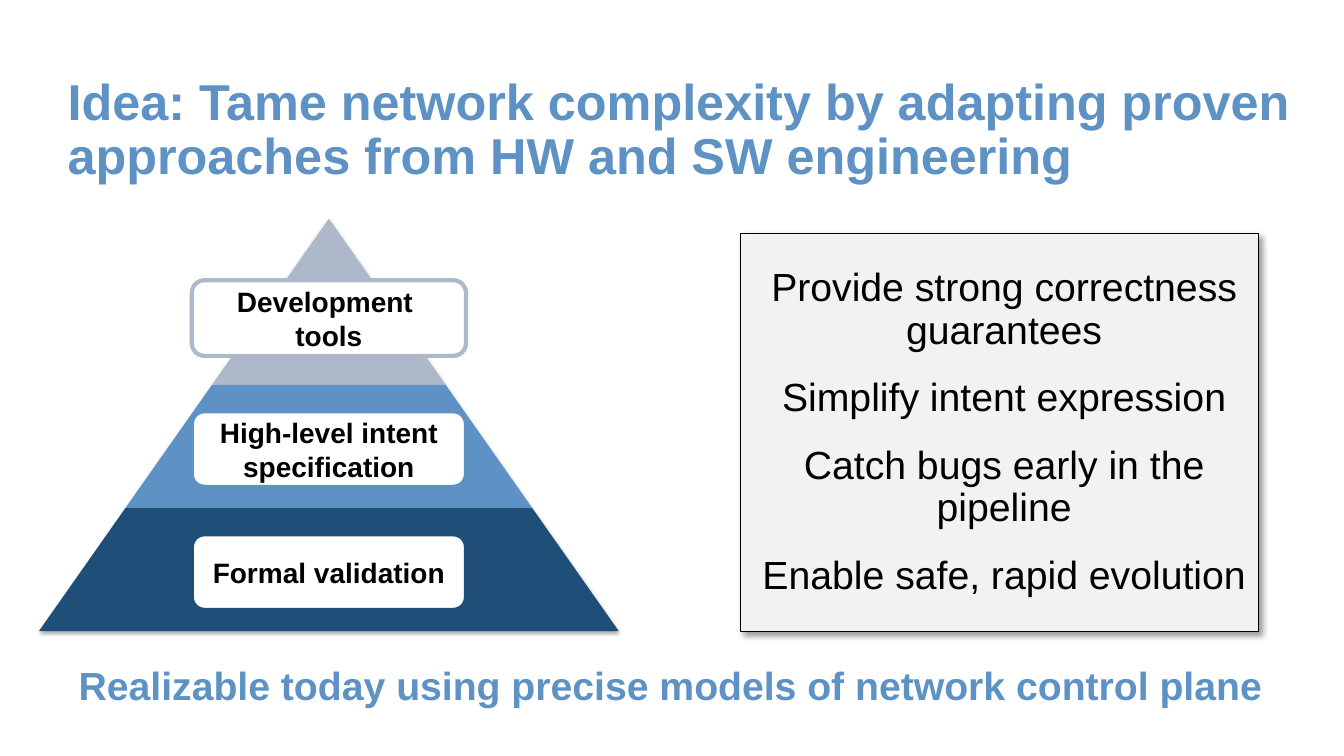
from dataclasses import dataclass
from typing import Any

from lxml.etree import SubElement
from pptx import Presentation
from pptx.dml.color import RGBColor
from pptx.enum.shapes import MSO_SHAPE
from pptx.enum.text import MSO_ANCHOR, MSO_AUTO_SIZE, PP_ALIGN
from pptx.oxml.ns import qn
from pptx.util import Inches, Pt

SLIDE_WIDTH, SLIDE_HEIGHT = Inches(13.333), Inches(7.5)
BLUE, BLACK, WHITE = "5E92C5", "000000", "FFFFFF"
PYRAMID_CENTER, PYRAMID_APEX = 24.47, 28.93
PYRAMID_SLOPE = 0.703
LABEL_WIDTH, LABEL_HEIGHT = 20.4, 10


@dataclass(frozen=True)
class Area:
    left: float
    top: float
    width: float
    height: float

    def emu(self) -> tuple[int, ...]:
        shares = (self.left, self.top, self.width, self.height)
        sides = (SLIDE_WIDTH, SLIDE_HEIGHT) * 2
        return tuple(round(share * side / 100) for share, side in zip(shares, sides))


@dataclass(frozen=True)
class Tier:
    label: str
    color: str
    height: float
    label_top: float


@dataclass(frozen=True)
class Shadow:
    opacity: int
    blur: float
    distance: float
    angle: int


TIERS = (
    Tier("Development \vtools", "ADB9CA", 22, 37.07),
    Tier("High-level intent specification", BLUE, 16.27, 54.4),
    Tier("Formal validation", "1F4E79", 16.27, 70.67),
)
BENEFITS = (
    "Provide strong correctness guarantees",
    "Simplify intent expression",
    "Catch bugs early in the pipeline",
    "Enable safe, rapid evolution",
)
TIER_SHADOW = Shadow(35, 3.1, 1.8, 90)
PANEL_SHADOW = Shadow(40, 4, 3, 45)
TITLE_AREA = Area(4.28, 5.33, 94.5, 24)
PANEL_AREA = Area(55.13, 30.93, 38.48, 52.67)
CONCLUSION_AREA = Area(4.28, 85.33, 91.2, 10.53)


def rgb(color: str) -> RGBColor:
    return RGBColor.from_string(color)


def apply(target: Any, values: dict[str, Any]) -> None:
    for name, value in values.items():
        setattr(target, name, value)


def write(shape: Any, lines: tuple[str, ...], size: float, color: str, bold: bool,
          frame_format: dict[str, Any], paragraph_format: dict[str, Any]) -> None:
    frame = shape.text_frame
    apply(frame, {"word_wrap": True, "auto_size": MSO_AUTO_SIZE.NONE,
                  "vertical_anchor": MSO_ANCHOR.MIDDLE, **frame_format})
    frame.text = "\n".join(lines)
    for paragraph in frame.paragraphs:
        apply(paragraph, paragraph_format)
        apply(paragraph.font, {"name": "Arial", "size": Pt(size), "bold": bold})
        paragraph.font.color.rgb = rgb(color)


def draw(shapes: Any, preset: MSO_SHAPE, area: Area, fill: str | None,
         line: str | None = None, line_width: float = 0) -> Any:
    shape = shapes.add_shape(preset, *area.emu())
    shape.shadow.inherit = False
    if fill:
        shape.fill.solid()
        shape.fill.fore_color.rgb = rgb(fill)
    else:
        shape.fill.background()
    if line:
        shape.line.color.rgb = rgb(line)
        shape.line.width = Pt(line_width)
    else:
        shape.line.fill.background()
    return shape


def cast_shadow(shape: Any, shadow: Shadow) -> None:
    effects = shape.element.spPr.find(qn("a:effectLst"))
    outer = SubElement(effects, qn("a:outerShdw"), {
        "blurRad": str(Pt(shadow.blur)), "dist": str(Pt(shadow.distance)),
        "dir": str(shadow.angle * 60000), "algn": "tl", "rotWithShape": "0"})
    tint = SubElement(outer, qn("a:srgbClr"), {"val": BLACK})
    SubElement(tint, qn("a:alpha"), {"val": str(shadow.opacity * 1000)})


def draw_pyramid(shapes: Any) -> None:
    pyramid = shapes.add_group_shape().shapes
    depth = 0.0
    for tier in TIERS:
        top = PYRAMID_APEX + depth
        depth += tier.height
        width = 2 * PYRAMID_SLOPE * depth * SLIDE_HEIGHT / SLIDE_WIDTH
        area = Area(PYRAMID_CENTER - width / 2, top, width, tier.height)
        layer = draw(pyramid, MSO_SHAPE.TRAPEZOID, area, tier.color)
        layer.adjustments[0] = PYRAMID_SLOPE
        cast_shadow(layer, TIER_SHADOW)
    for tier in TIERS:
        area = Area(PYRAMID_CENTER - LABEL_WIDTH / 2, tier.label_top, LABEL_WIDTH, LABEL_HEIGHT)
        label = draw(pyramid, MSO_SHAPE.ROUNDED_RECTANGLE, area, WHITE, tier.color, 3)
        write(label, (tier.label,), 20, BLACK, True, {}, {"alignment": PP_ALIGN.CENTER})


def draw_benefits(shapes: Any, margins: dict[str, Any]) -> None:
    panel = draw(shapes, MSO_SHAPE.RECTANGLE, PANEL_AREA, "F2F2F2", BLACK, 0.75)
    cast_shadow(panel, PANEL_SHADOW)
    write(panel, BENEFITS, 28, BLACK, False, margins,
          {"alignment": PP_ALIGN.CENTER, "line_spacing": 0.9, "space_before": Pt(18)})
    for paragraph in panel.text_frame.paragraphs:
        apply_indent = paragraph._p.get_or_add_pPr()
        apply_indent.set("marL", str(Inches(0.09)))
        apply_indent.set("indent", "0")
    panel.text_frame.paragraphs[0].space_before = Pt(0)


def main() -> None:
    presentation = Presentation()
    apply(presentation, {"slide_width": SLIDE_WIDTH, "slide_height": SLIDE_HEIGHT})
    slide = presentation.slides.add_slide(presentation.slide_layouts[5])
    margins = {f"margin_{side}": Inches(0.1) for side in ("left", "top", "right", "bottom")}

    title = slide.shapes.title
    apply(title, dict(zip(("left", "top", "width", "height"), TITLE_AREA.emu())))
    write(title, ("Idea: Tame network complexity by adapting proven approaches from HW and SW engineering",),
          36, BLUE, True, margins, {"alignment": PP_ALIGN.LEFT, "line_spacing": 0.9})

    draw_pyramid(slide.shapes)

    conclusion = draw(slide.shapes, MSO_SHAPE.ROUNDED_RECTANGLE, CONCLUSION_AREA, None, WHITE, 2)
    write(conclusion, ("Realizable today using precise models of network control plane",),
          28, BLUE, True, {}, {"alignment": PP_ALIGN.CENTER})

    draw_benefits(slide.shapes, margins)
    presentation.save("out.pptx")


if __name__ == "__main__":
    main()
